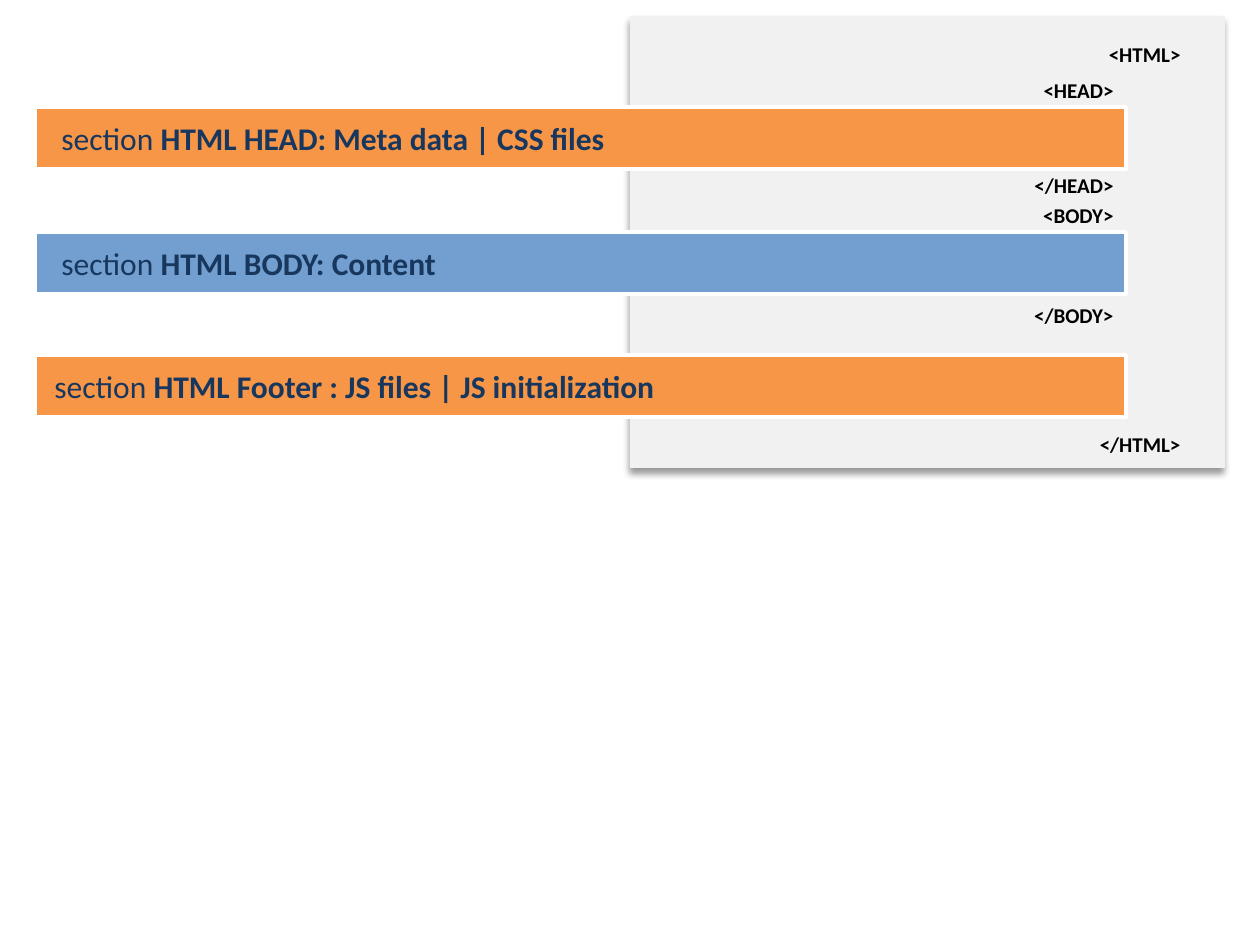
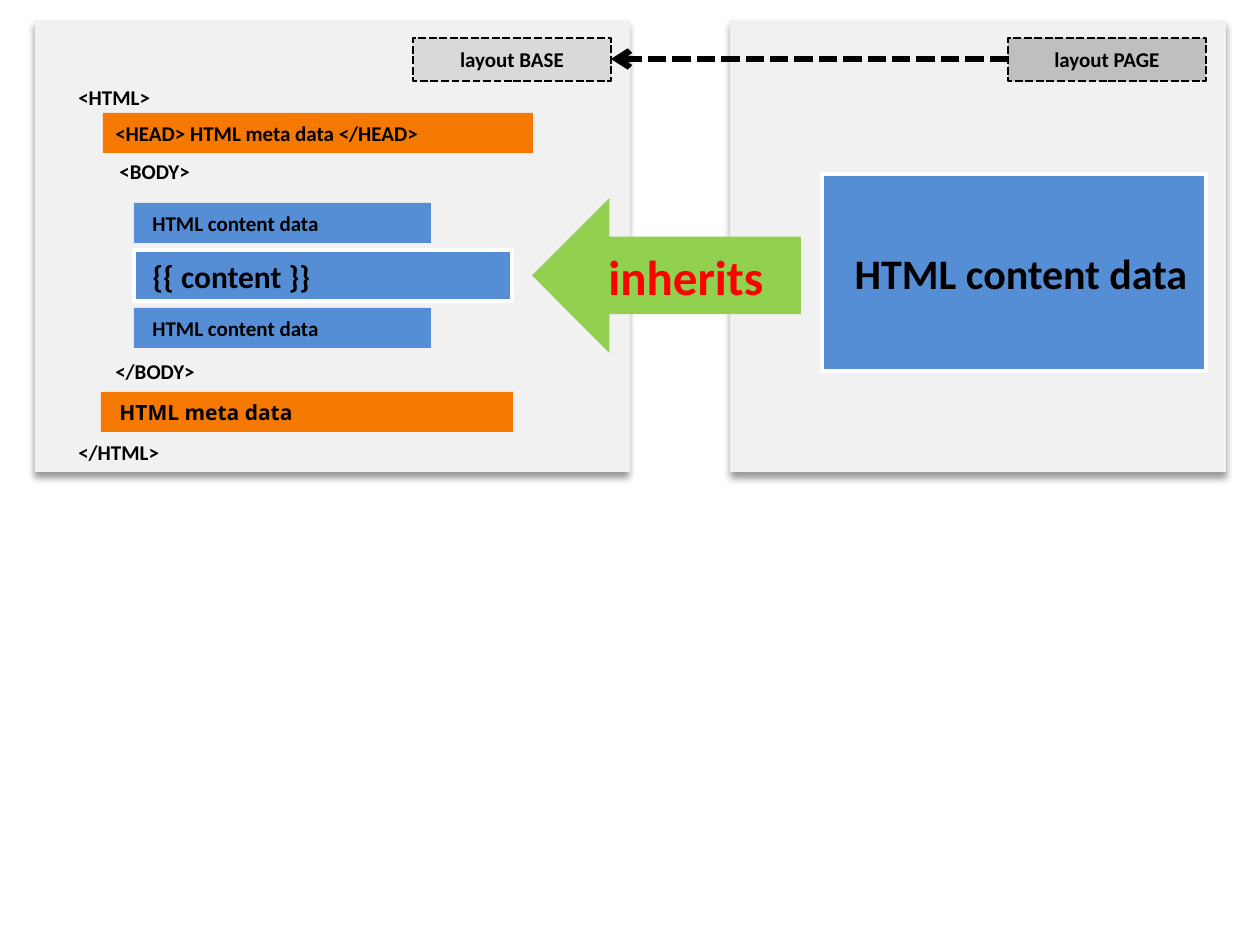
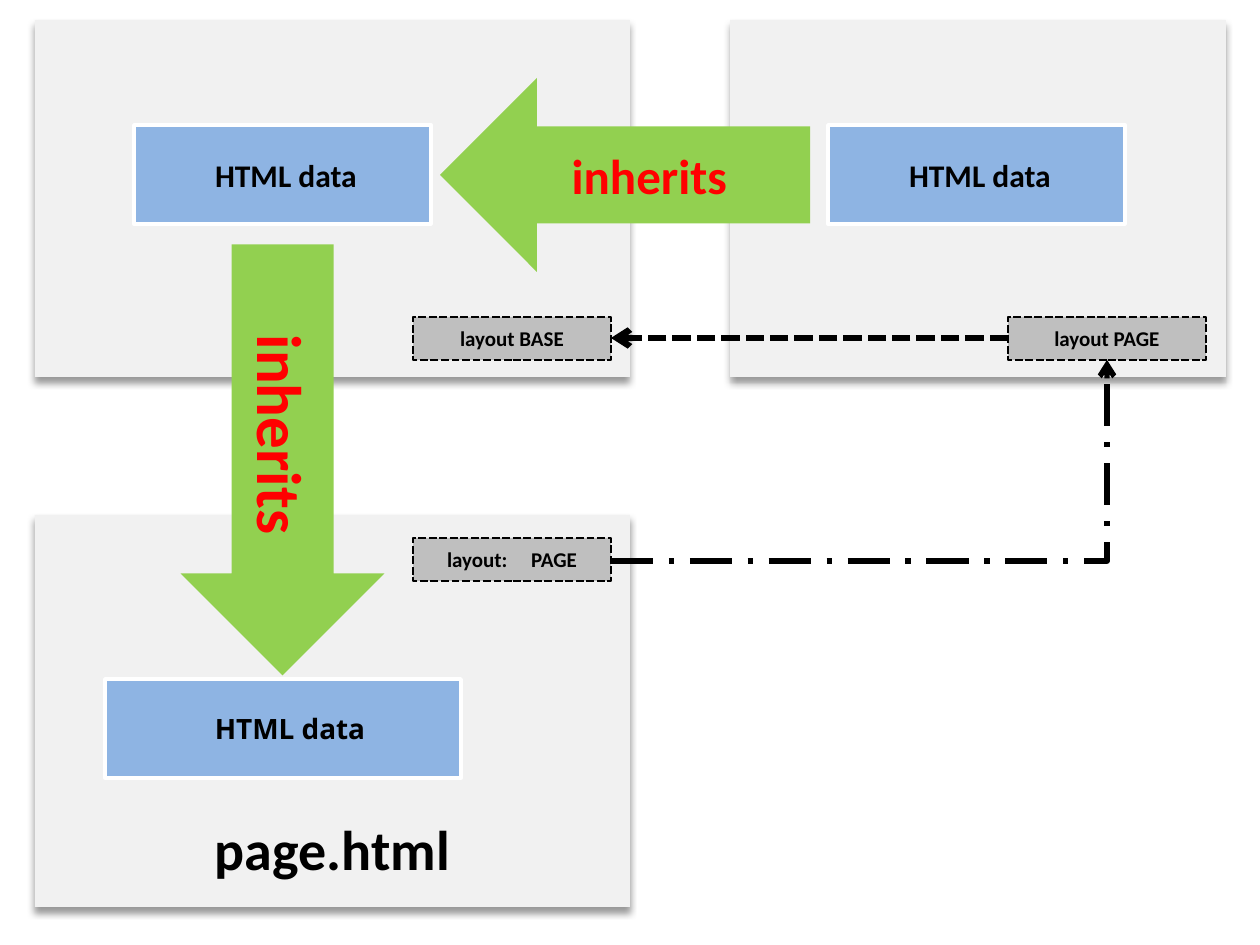
from dataclasses import dataclass
from lxml import etree
from pptx import Presentation
from pptx.dml.color import RGBColor
from pptx.enum.dml import MSO_LINE
from pptx.enum.shapes import MSO_CONNECTOR, MSO_SHAPE
from pptx.enum.text import MSO_ANCHOR, PP_ALIGN
from pptx.oxml.ns import qn
from pptx.util import Inches, Pt


@dataclass(frozen=True)
class Theme:
    panel: str = "F1F1F1"
    orange: str = "F79646"
    deep_orange: str = "F57900"
    steel: str = "729FCF"
    blue: str = "558ED5"
    pale_blue: str = "8EB4E3"
    green: str = "92D050"
    light_gray: str = "D9D9D9"
    gray: str = "BFBFBF"
    navy: str = "17375E"
    red: str = "FF0000"
    black: str = "000000"
    white: str = "FFFFFF"
    font: str = "Calibri"
    alt_font: str = "Open Sans"
    small: int = 12
    medium: int = 16
    bar: int = 18
    large: int = 24
    arrow: int = 28
    page: int = 32
    tall_arrow: int = 36


T = Theme()
LEFT, CENTER, RIGHT = PP_ALIGN.LEFT, PP_ALIGN.CENTER, PP_ALIGN.RIGHT

# Content, in pixels at 126 to the inch
TAG_H = 42

# Slide 1: tags as (text, right edge, middle, width); bars as (text, top, fill, indent)
OUTER, INNER = (1193, 166), (1126, 198)
SECTION_TAGS = [
    ("<HTML>", OUTER, 54), ("</HTML>", OUTER, 444),
    ("<HEAD>", INNER, 90), ("</HEAD>", INNER, 185),
    ("<BODY>", INNER, 215), ("</BODY>", INNER, 315),
]
SECTION_BARS = [
    (" HTML HEAD: Meta data | CSS files", 107, T.orange, 14),
    (" HTML BODY: Content", 232, T.steel, 14),
    (" HTML Footer : JS files | JS initialization", 355, T.orange, 7),
]

# Slide 2: tags as (text, left, middle, width, indent)
BASE_TAGS = [
    ("<HTML>", 66, 97, 164, 0), ("</HTML>", 66, 452, 164, 0),
    ("<BODY>", 97, 171, 132, 10), ("</BODY>", 103, 371, 126, 0),
]
# Strips as (text, left, top, width, fill, font, indent)
BASE_STRIPS = [
    ("<HEAD> HTML meta data </HEAD>", 103, 113, 430, T.deep_orange, T.font, 0),
    ("HTML content data", 134, 203, 297, T.blue, T.font, 6),
    ("HTML content data", 134, 308, 297, T.blue, T.font, 6),
    ("HTML meta data", 101, 392, 412, T.deep_orange, T.alt_font, 6),
]

# Slide 3: data boxes as (text, left, top, width, size, font, indent)
DATA_BOXES = [
    ("HTML data", 134, 125, 297, T.bar, T.font, 7),
    ("HTML data", 828, 125, 297, T.bar, T.font, 7),
    ("HTML data", 105, 679, 356, T.medium, T.alt_font, 14),
]

# Panels and layout labels shared by slides 2 and 3
BASE_X, BASE_W = 35, 595
PAGE_X, PAGE_W = 730, 496
PANEL_Y = 20
LABEL_BASE_X, LABEL_PAGE_X = 413, 1008
LABEL_W, LABEL_H = 198, 43


def px(n):
    return round(n * Inches(1) / 126)


def rgb(hex_code):
    return RGBColor.from_string(hex_code)


def effects(shape):
    return etree.SubElement(shape._element.spPr, qn("a:effectLst"))


def write(shape, text, size=T.small, color=T.black, font=T.font, align=LEFT, indent=0):
    """Write bold text; a list gives (text, bold) runs."""
    tf = shape.text_frame
    tf.word_wrap = True
    tf.vertical_anchor = MSO_ANCHOR.MIDDLE
    p = tf.paragraphs[0]
    p.alignment = align
    p.font.size, p.font.name, p.font.bold = Pt(size), font, True
    p.font.color.rgb = rgb(color)
    if indent:
        pPr = p._p.get_or_add_pPr()
        pPr.set("marL", str(px(indent)))
        pPr.set("indent", "0")
    for part, bold in [(text, True)] if isinstance(text, str) else text:
        r = p.add_run()
        r.text = part
        r.font.size, r.font.name, r.font.bold = Pt(size), font, bold
        r.font.color.rgb = rgb(color)
    return p


def box(s, x, y, w, h, fill, kind=MSO_SHAPE.RECTANGLE, line=None, width=2, dash=None):
    sp = s.shapes.add_shape(kind, px(x), px(y), px(w), px(h))
    sp.shadow.inherit = False
    sp.fill.solid()
    sp.fill.fore_color.rgb = rgb(fill)
    if line:
        sp.line.color.rgb = rgb(line)
        sp.line.width = Pt(width)
        if dash:
            sp.line.dash_style = dash
    else:
        sp.line.fill.background()
    return sp


def panel(s, x, y, w, h):
    sp = box(s, x, y, w, h, T.panel)
    shadow = etree.SubElement(
        sp._element.spPr.find(qn("a:effectLst")), qn("a:outerShdw"),
        blurRad=str(Pt(4)), dist=str(Pt(3)), dir="5400000", rotWithShape="0")
    color = etree.SubElement(shadow, qn("a:srgbClr"), val=T.black)
    etree.SubElement(color, qn("a:alpha"), val="40000")


def tag(s, text, x, middle, w, **style):
    tb = s.shapes.add_textbox(px(x), px(middle - TAG_H / 2), px(w), px(TAG_H))
    write(tb, text, **style)


def label(s, text, x, y, fill=T.gray):
    sp = box(s, x, y, LABEL_W, LABEL_H, fill, line=T.black, width=1.5,
             dash=MSO_LINE.SQUARE_DOT)
    return write(sp, text, align=CENTER)


def inherits(s, kind, x, y, w, h, size=T.arrow, rotation=0):
    sp = box(s, x, y, w, h, T.green, kind)
    sp.rotation = rotation
    write(sp, "inherits", size, T.red, align=CENTER)


def connect(s, kind, start, end, width, dash):
    cx = s.shapes.add_connector(kind, *map(px, start + end))
    cx.line.color.rgb = rgb(T.black)
    cx.line.width = Pt(width)
    cx.line.dash_style = dash
    etree.SubElement(cx.line._get_or_add_ln(), qn("a:tailEnd"), type="arrow")
    effects(cx)
    return cx


def layout_pair(s, y, base_fill=T.gray):
    """Label both layouts and point from the page to its base."""
    label(s, "layout BASE", LABEL_BASE_X, y, base_fill)
    label(s, "layout PAGE", LABEL_PAGE_X, y)
    middle = y + LABEL_H // 2
    connect(s, MSO_CONNECTOR.STRAIGHT, (LABEL_PAGE_X, middle),
            (LABEL_BASE_X + LABEL_W, middle), 3.5, MSO_LINE.SQUARE_DOT)


prs = Presentation()
prs.slide_width, prs.slide_height = Inches(10), Inches(7.5)
blank = prs.slide_layouts[6]

# Slide 1: sections of the document
s = prs.slides.add_slide(blank)
panel(s, 630, 16, 595, 452)
for text, (right, w), middle in SECTION_TAGS:
    tag(s, text, right - w, middle, w, align=RIGHT)
for text, y, fill, indent in SECTION_BARS:
    bar = box(s, 35, y, 1091, 62, fill, line=T.white)
    write(bar, [("section", False), (text, True)], T.bar, T.navy, indent=indent)

# Slide 2: the page layout fills the base layout
s = prs.slides.add_slide(blank)
panel(s, BASE_X, PANEL_Y, BASE_W, 452)
panel(s, PAGE_X, PANEL_Y, PAGE_W, 452)
for text, x, middle, w, indent in BASE_TAGS:
    tag(s, text, x, middle, w, indent=indent)
for text, x, y, w, fill, font, indent in BASE_STRIPS:
    write(box(s, x, y, w, 40, fill), text, font=font, indent=indent)
slot = box(s, 134, 250, 378, 51, T.blue, line=T.white)
write(slot, "{{ content }}", T.bar, indent=6)
content = box(s, 822, 174, 384, 197, T.blue, line=T.white)
write(content, "HTML content data", T.large, align=CENTER, indent=14)
layout_pair(s, 38, T.light_gray)
inherits(s, MSO_SHAPE.LEFT_ARROW, 532, 198, 269, 155)

# Slide 3: a page passes through both layouts
s = prs.slides.add_slide(blank)
panel(s, BASE_X, PANEL_Y, BASE_W, 357)
panel(s, PAGE_X, PANEL_Y, PAGE_W, 357)
panel(s, BASE_X, 515, BASE_W, 392)
layout_pair(s, 317)
for text, x, y, w, size, font, indent in DATA_BOXES:
    data = box(s, x, y, w, 99, T.pale_blue, line=T.white)
    write(data, text, size, font=font, align=CENTER, indent=indent)
inherits(s, MSO_SHAPE.RIGHT_ARROW, 67, 358, 431, 204, T.tall_arrow, 90)
inherits(s, MSO_SHAPE.LEFT_ARROW, 440, 78, 370, 194)

# Page label, with one widened space, and its link to the page layout
p = label(s, [("layout:", True), (" ", True), ("PAGE", True)], LABEL_BASE_X, 538)
p.runs[1]._r.get_or_add_rPr().set("spc", "1080")
link = connect(s, MSO_CONNECTOR.ELBOW, (LABEL_BASE_X + LABEL_W, 561),
               (LABEL_PAGE_X + LABEL_W // 2, 317 + LABEL_H), 3, MSO_LINE.LONG_DASH_DOT)
guides = link._element.spPr.find(qn("a:prstGeom")).get_or_add_avLst()
etree.SubElement(guides, qn("a:gd"), name="adj1", fmla="val 100000")
tag(s, "page.html", 83, 848, 499, size=T.page, align=CENTER)

prs.save("out.pptx")
